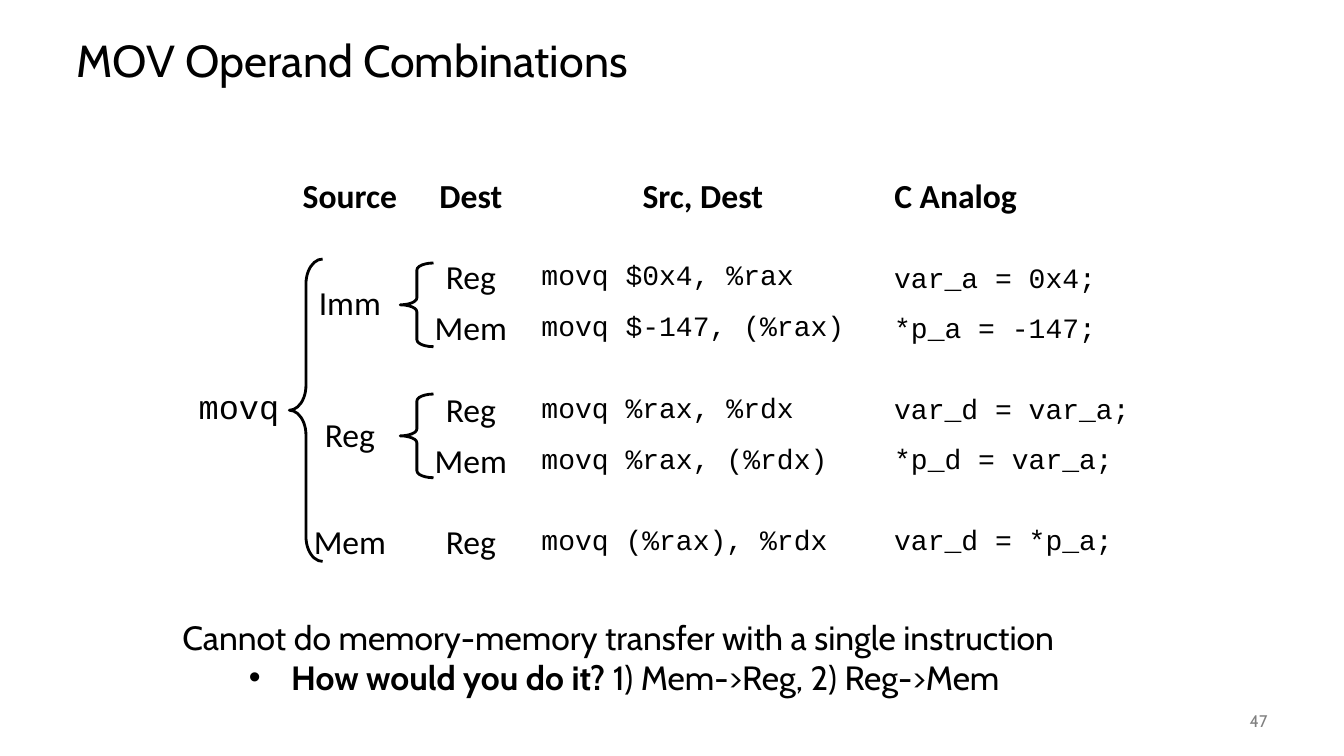
from lxml import etree
from pptx import Presentation, util as u
from pptx.dml import color
from pptx.enum import shapes, text
from pptx.oxml import ns

COLORS = {"ink": "000000", "page_number": "808080"}
BODY, SANS, CODE = "Cabin", "Calibri", "Courier New"
LEFT, CENTER, RIGHT = text.PP_ALIGN.LEFT, text.PP_ALIGN.CENTER, text.PP_ALIGN.RIGHT
COLUMNS = [1, 1.2, 1.2, 3.5, 2.6]
ROWS = [0.5, 0.3, 0.5, 0.5, 0.3, 0.5, 0.5, 0.3, 0.5]
HEADINGS = ["", "Source", "Dest", "Src, Dest", "C Analog"]
SOURCES = {2: "Imm", 5: "Reg", 8: "Mem"}
MOVES = {
    2: ("Reg", "movq $0x4, %rax", "var_a = 0x4;"),
    3: ("Mem", "movq $-147, (%rax)", "*p_a = -147;"),
    5: ("Reg", "movq %rax, %rdx", "var_d = var_a;"),
    6: ("Mem", "movq %rax, (%rdx)", "*p_d = var_a;"),
    8: ("Reg", "movq (%rax), %rdx", "var_d = *p_a;"),
}


def inches(*lengths):
    return [u.Inches(length) for length in lengths]


def style(para, name, size, align=LEFT, bold=False, shade="ink"):
    para.alignment = align
    font = para.font
    font.name, font.size, font.bold = name, u.Pt(size), bold
    font.color.rgb = color.RGBColor.from_string(COLORS[shade])


def add_text(page, box, words, name, size, align=LEFT, shade="ink"):
    frame = page.shapes.add_textbox(*inches(*box)).text_frame
    frame.word_wrap = True
    frame.vertical_anchor = text.MSO_ANCHOR.MIDDLE
    frame.text = words
    style(frame.paragraphs[0], name, size, align, shade=shade)
    return frame


def add_title(page, box):
    title = page.shapes.title
    title.left, title.top, title.width, title.height = inches(*box)
    title.text_frame.vertical_anchor = text.MSO_ANCHOR.MIDDLE
    title.text_frame.text = "MOV Operand Combinations"
    para = title.text_frame.paragraphs[0]
    para.line_spacing = 0.9
    style(para, BODY, 32)


def fill_cell(cell, words, name=SANS, size=24, align=CENTER, bold=False):
    cell.text = words
    style(cell.text_frame.paragraphs[0], name, size, align, bold)


def add_operand_table(page, left, top):
    box = inches(left, top, sum(COLUMNS), sum(ROWS))
    table = page.shapes.add_table(len(ROWS), len(COLUMNS), *box).table
    table.first_row = table.horz_banding = False
    for column, width in zip(table.columns, COLUMNS):
        column.width = u.Inches(width)
    for row, height in zip(table.rows, ROWS):
        row.height = u.Inches(height)
        for cell in row.cells:
            cell.fill.background()
            cell.vertical_anchor = text.MSO_ANCHOR.MIDDLE
            if height < 0.5:
                cell.margin_top = cell.margin_bottom = 0
                cell.text_frame.paragraphs[0].font.size = u.Pt(8)
        row.cells[3].margin_right = u.Inches(0.2)

    for index, heading in enumerate(HEADINGS):
        align = LEFT if heading == "C Analog" else CENTER
        if heading:
            fill_cell(table.cell(0, index), heading, align=align, bold=True)
    table.cell(2, 0).merge(table.cell(8, 0))
    fill_cell(table.cell(2, 0), "movq", CODE)
    for row, source in SOURCES.items():
        if row + 1 in MOVES:
            table.cell(row, 1).merge(table.cell(row + 1, 1))
        fill_cell(table.cell(row, 1), source)
    for row, (dest, code, _) in MOVES.items():
        fill_cell(table.cell(row, 2), dest)
        fill_cell(table.cell(row, 3), code, CODE, 20, LEFT)


def add_brace(page, box, curve):
    brace = page.shapes.add_shape(shapes.MSO_SHAPE.LEFT_BRACE, *inches(*box))
    brace.adjustments[0] = curve
    brace.shadow.inherit = False
    brace.fill.background()
    brace.line.color.rgb = color.RGBColor.from_string(COLORS["ink"])
    brace.line.width = u.Pt(2)


def add_operands(page, left, top):
    add_operand_table(page, left, top)
    add_brace(page, (left + 1, top + 0.87, 0.33, 3), 0.75)
    for row in (2, 5):
        add_brace(page, (left + 2.1, top + sum(ROWS[:row]) + 0.11, 0.33, 0.83), 0.21)
    for row, (_, _, analog) in MOVES.items():
        box = (left + sum(COLUMNS[:4]), top + sum(ROWS[:row]), COLUMNS[4], ROWS[row])
        add_text(page, box, analog, CODE, 20)


def add_takeaway(page, box):
    claim = "Cannot do memory-memory transfer with a single instruction"
    frame = add_text(page, box, claim, BODY, 24)
    frame.vertical_anchor = text.MSO_ANCHOR.TOP
    para = frame.add_paragraph()
    para.level = 1
    props = para._p.get_or_add_pPr()
    props.set("marL", str(u.Inches(1.08)))
    props.set("indent", str(u.Inches(-0.42)))
    etree.SubElement(props, ns.qn("a:buFont")).set("typeface", "Arial")
    etree.SubElement(props, ns.qn("a:buChar")).set("char", "•")
    style(para, BODY, 24)
    for words, bold in (("How would you do it? ", True), ("1) Mem->Reg, 2) Reg->Mem", False)):
        span = para.add_run()
        span.text = words
        span.font.bold = bold


def main():
    deck = Presentation()
    deck.slide_width, deck.slide_height = inches(13.33, 7.5)
    page = deck.slides.add_slide(deck.slide_layouts[5])
    add_title(page, (0.66, 0.25, 12, 0.75))
    add_operands(page, 1.87, 1.7)
    add_text(page, (9.56, 6.95, 3.11, 0.4), "47", BODY, 12, RIGHT, "page_number")
    add_takeaway(page, (1.71, 6.07, 9.81, 0.91))
    deck.save("out.pptx")


if __name__ == "__main__":
    main()
